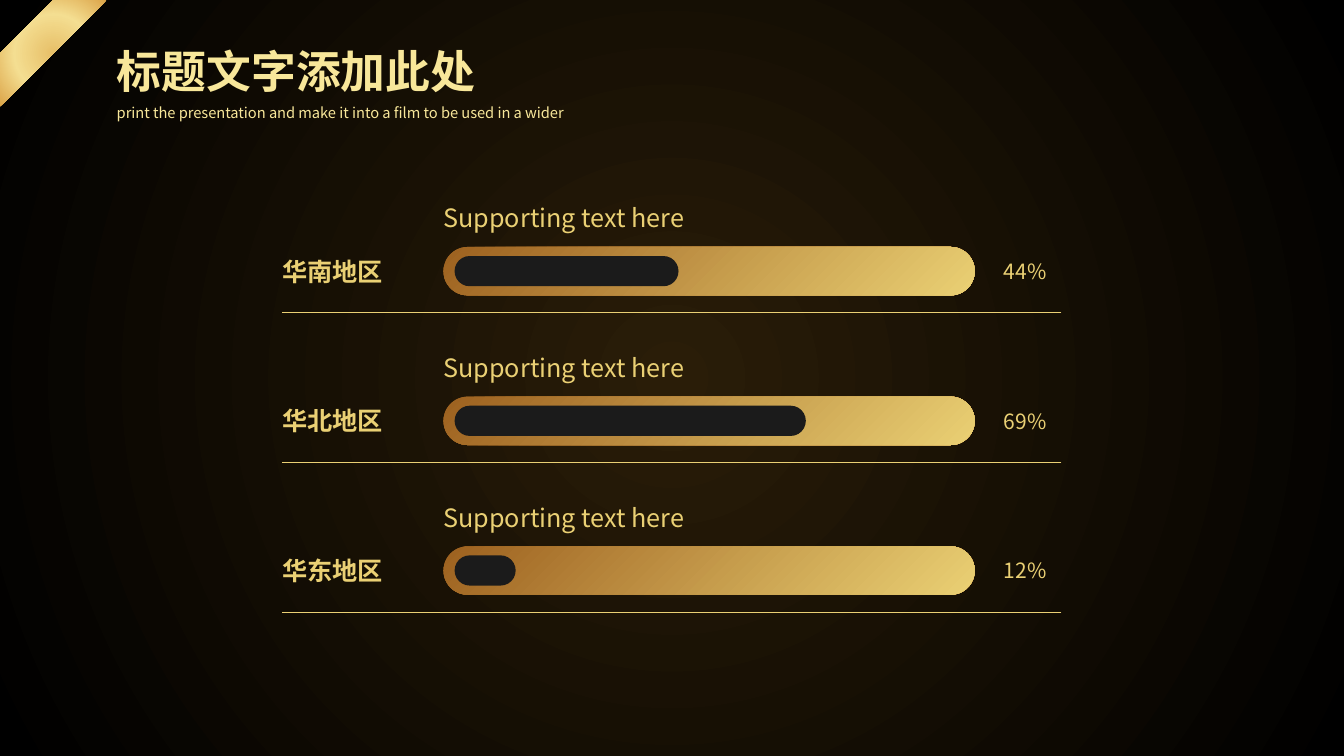
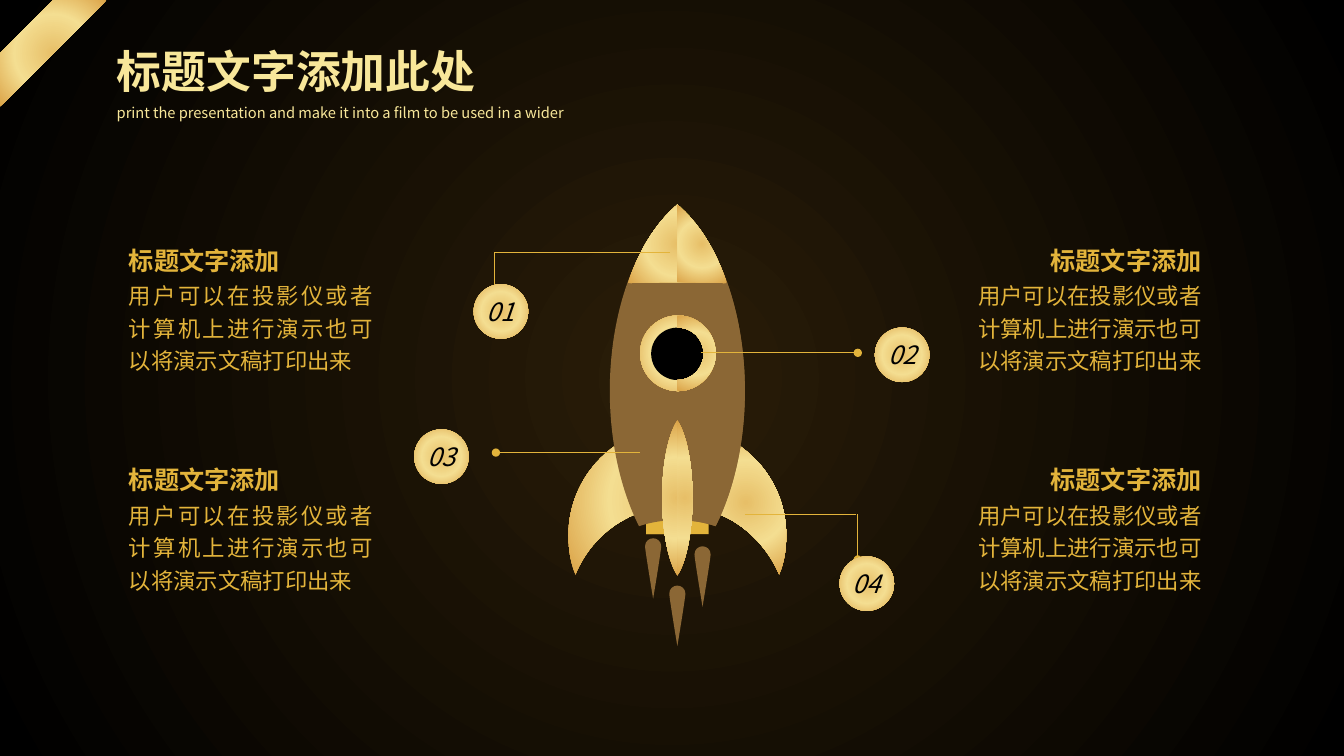
from lxml import etree
from pptx import Presentation
from pptx.dml.color import RGBColor
from pptx.enum import shapes as sh, text as tx
from pptx.oxml import ns
from pptx.util import Inches, Pt

FONT = "Noto Sans CJK SC"
CREAM = RGBColor(0xF8, 0xE7, 0x9A)
GOLD = RGBColor(0xEA, 0xD0, 0x74)
AMBER = RGBColor(0xE3, 0xB4, 0x3B)
BROWN = RGBColor(0x8B, 0x67, 0x35)
RUST = RGBColor(0x9D, 0x61, 0x1F)
COAL = RGBColor(0x1B, 0x1B, 0x1B)
BLACK = RGBColor(0, 0, 0)
NIGHT = [(0, RGBColor(0x2A, 0x1D, 0x08)), (100, BLACK)]
METAL = [(0, RGBColor(0xE7, 0xBF, 0x68)), (52, RGBColor(0xF4, 0xDE, 0x91)),
         (100, RGBColor(0xDB, 0xA3, 0x47))]
LEFT, RIGHT = tx.PP_ALIGN.LEFT, tx.PP_ALIGN.RIGHT
CENTER, JUST = tx.PP_ALIGN.CENTER, tx.PP_ALIGN.JUSTIFY
TOP, MID = tx.MSO_ANCHOR.TOP, tx.MSO_ANCHOR.MIDDLE
KIND = sh.MSO_SHAPE


def shade(fill, node, stops, angle=None):
    """Gradient fill: linear with an angle, otherwise circular."""
    fill.gradient()
    grad = node.xpath(".//a:gradFill")[0]
    for child in list(grad):
        grad.remove(child)
    steps = etree.SubElement(grad, ns.qn("a:gsLst"))
    for pos, color in stops:
        stop = etree.SubElement(steps, ns.qn("a:gs"), pos=str(pos * 1000))
        etree.SubElement(stop, ns.qn("a:srgbClr"), val=str(color))
    if angle is not None:
        etree.SubElement(grad, ns.qn("a:lin"), ang=str(angle * 60000), scaled="0")
    else:
        way = etree.SubElement(grad, ns.qn("a:path"), path="circle")
        etree.SubElement(way, ns.qn("a:fillToRect"),
                         {side: "50000" for side in "ltrb"})


def write(shape, words, size, color, bold=False, italic=False, align=LEFT,
          anchor=TOP, pad=True, space=None, wrap=True):
    """Put one styled paragraph into a shape or text box."""
    frame = shape.text_frame
    frame.word_wrap = wrap
    frame.vertical_anchor = anchor
    if not pad:
        frame.margin_left = frame.margin_right = 0
        frame.margin_top = frame.margin_bottom = 0
    para = frame.paragraphs[0]
    para.text = words
    para.alignment = align
    if space:
        para.line_spacing = space
    font = para.font
    font.size, font.bold, font.italic = Pt(size), bold, italic
    font.color.rgb = color
    font.name = FONT
    props = para._p.xpath(".//a:defRPr")[0]
    etree.SubElement(props, ns.qn("a:ea"), typeface=FONT)


deck = Presentation()
deck.slide_width, deck.slide_height = Inches(40 / 3), Inches(7.5)

# Shared background, corner ribbon and title
for _ in range(2):
    slide = deck.slides.add_slide(deck.slide_layouts[6])
    shade(slide.background.fill, slide._element, NIGHT)
    band = slide.shapes.add_shape(KIND.DIAGONAL_STRIPE, 0, 0, Inches(1.06), Inches(1.06))
    shade(band.fill, band._element, METAL)
    box = slide.shapes.add_textbox(Inches(1.06), Inches(0.38), Inches(4.18), Inches(0.64))
    write(box, "标题文字添加此处", 32, CREAM, bold=True)
    box = slide.shapes.add_textbox(Inches(1.06), Inches(0.95), Inches(5.2), Inches(0.3))
    write(box, "print the presentation and make it into a film to be used in a wider",
          10.5, CREAM, space=1.2)
bars, ship = deck.slides

# Lines: slide, start, end, colour, width, end with a dot
links = [
    (ship, 6.95, 3.5, 8.51, 3.5, AMBER, 0.5, True),
    (ship, 7.39, 5.1, 8.49, 5.1, AMBER, 0.5, False),
    (ship, 8.51, 5.1, 8.51, 5.55, AMBER, 0.5, True),
    (ship, 6.35, 4.49, 4.92, 4.49, AMBER, 0.5, True),
    (ship, 6.65, 2.5, 4.9, 2.5, AMBER, 0.5, False),
    (ship, 4.9, 2.5, 4.9, 2.96, AMBER, 0.5, True),
]

# Progress bars by region
for row, (area, share) in enumerate([("华南地区", 44), ("华北地区", 69), ("华东地区", 12)]):
    top = 2.01 + 2.97 * row / 2
    for left, drop, width, high, words, size, bold, anchor, pad in [
            (2.8, 0.53, 1.28, 0.3, area, 18, True, MID, False),
            (9.86, 0.44, 0.64, 0.48, f"{share}%", 15, False, MID, True),
            (4.4, 0, 5.27, 0.35, "Supporting text here", 18, False, TOP, False)]:
        box = bars.shapes.add_textbox(Inches(left), Inches(top + drop),
                                      Inches(width), Inches(high))
        write(box, words, size, GOLD, bold=bold, anchor=anchor, pad=pad)
    track = bars.shapes.add_shape(KIND.ROUNDED_RECTANGLE, Inches(4.4), Inches(top + 0.44),
                                  Inches(5.27), Inches(0.48))
    shade(track.fill, track._element, [(0, RUST), (100, GOLD)], 45)
    level = bars.shapes.add_shape(KIND.ROUNDED_RECTANGLE, Inches(4.51), Inches(top + 0.53),
                                  Inches(5.05 * share / 100), Inches(0.3))
    level.fill.solid()
    level.fill.fore_color.rgb = COAL
    track.adjustments[0] = level.adjustments[0] = 0.5
    links.append((bars, 10.53, top + 1.09, 2.8, top + 1.09, GOLD, 0.25, False))

# Rocket nozzle and window
for kind, left, top, width, high, color in [
        (KIND.RECTANGLE, 6.41, 5.09, 0.62, 0.21, AMBER),
        (KIND.RECTANGLE, 6.41, 5.09, 0.31, 0.21, AMBER),
        (KIND.OVAL, 6.35, 3.13, 0.75, 0.75, None),
        (KIND.OVAL, 6.46, 3.25, 0.52, 0.52, BLACK)]:
    part = ship.shapes.add_shape(kind, Inches(left), Inches(top), Inches(width), Inches(high))
    if color is None:
        shade(part.fill, part._element, METAL)
        ring = part
    else:
        part.fill.solid()
        part.fill.fore_color.rgb = color
pane = part

# Rocket outlines: right-hand Bezier points from the axis, and whether the
# whole (mirrored) outline and its right half are drawn
AXIS = 6.72
flame = [(0, 0), (0.04, 0), (0.08, 0.03), (0.08, 0.08), (0.08, 0.12), (0, 0.6), (0, 0.6)]
outlines = [([(mid + x, top + y) for x, y in flame], mid, BROWN, True, False)
            for mid, top in [(6.48, 5.34), (6.72, 5.81), (6.97, 5.42)]]
outlines += [
    # fins
    ([(6.72, 4.23), (7.32, 4.23), (7.8, 4.72), (7.8, 5.31), (7.8, 5.45), (7.78, 5.58),
      (7.73, 5.7), (7.57, 5.3), (7.18, 5.02), (6.72, 5.02)], AXIS, None, True, False),
    ([(7, 4.27), (7.46, 4.39), (7.8, 4.81), (7.8, 5.31), (7.8, 5.45), (7.78, 5.58),
      (7.73, 5.7), (7.6, 5.39), (7.33, 5.14), (7, 5.05)], AXIS, None, False, True),
    # hull
    ([(6.72, 2.03), (7.12, 2.37), (7.39, 3.07), (7.39, 3.88), (7.39, 4.39), (7.28, 4.86),
      (7.1, 5.22), (6.98, 5.18), (6.86, 5.16), (6.72, 5.16)], AXIS, BROWN, True, True),
    # nose
    ([(6.72, 2.03), (6.93, 2.21), (7.1, 2.48), (7.21, 2.81), (7.05, 2.8), (6.89, 2.8),
      (6.72, 2.8)], AXIS, None, True, True),
    # middle fin
    ([(6.72, 4.17), (6.81, 4.31), (6.87, 4.6), (6.87, 4.94), (6.87, 5.27), (6.81, 5.57),
      (6.72, 5.71)], AXIS, None, True, True),
    # right half of the window ring
    ([(6.72, 3.13), (6.93, 3.13), (7.1, 3.3), (7.1, 3.51), (7.1, 3.71), (6.93, 3.88),
      (6.72, 3.88), (6.72, 3.88), (6.72, 3.77), (6.72, 3.77), (6.87, 3.77), (6.98, 3.65),
      (6.98, 3.51), (6.98, 3.36), (6.87, 3.25), (6.72, 3.25)], AXIS, None, False, True),
]
for side, mid, color, whole, half in outlines:
    mirror = [(2 * mid - x, y) for x, y in reversed(side[:-1])]
    for knots in [side + mirror] * whole + [side] * half:
        pts = [(Inches(x), Inches(y)) for x, y in knots]
        pen = ship.shapes.build_freeform(*pts[0])
        pen.add_line_segments(pts[1:], close=True)
        part = pen.convert_to_shape()
        # Every three straight steps become one Bezier curve
        steps = part._element.xpath(".//a:lnTo")
        for i in range(0, len(steps), 3):
            curve = etree.Element(ns.qn("a:cubicBezTo"))
            steps[i].addprevious(curve)
            for step in steps[i:i + 3]:
                curve.append(step[0])
                step.getparent().remove(step)
        if color is None:
            shade(part.fill, part._element, METAL)
        else:
            part.fill.solid()
            part.fill.fore_color.rgb = color

# Window goes above the hull, its half ring stays on top
for item in (ring, pane):
    part._element.addprevious(item._element)

# Connectors
for slide, x1, y1, x2, y2, color, width, dot in links:
    link = slide.shapes.add_connector(sh.MSO_CONNECTOR.STRAIGHT, Inches(x1), Inches(y1),
                                      Inches(x2), Inches(y2))
    link.line.color.rgb = color
    link.line.width = Pt(width)
    if dot:
        etree.SubElement(link.line._get_or_add_ln(), ns.qn("a:tailEnd"), type="oval")
    etree.SubElement(link._element.spPr, ns.qn("a:effectLst"))

# Numbered badges
for num, left, top in [("02", 8.68, 3.25), ("04", 8.33, 5.52),
                       ("01", 4.7, 2.82), ("03", 4.11, 4.26)]:
    badge = ship.shapes.add_shape(KIND.OVAL, Inches(left), Inches(top),
                                  Inches(0.54), Inches(0.54))
    shade(badge.fill, badge._element, METAL)
    write(badge, num, 18, BLACK, italic=True, align=CENTER, anchor=MID,
          pad=False, wrap=False)

# Captions on both sides
for left, head, align in [(1.18, 1.18, JUST), (9.4, 9.57, RIGHT)]:
    for top in (2.32, 4.5):
        box = ship.shapes.add_textbox(Inches(left), Inches(top + 0.38),
                                      Inches(2.62), Inches(1.07))
        write(box, "用户可以在投影仪或者计算机上进行演示也可以将演示文稿打印出来",
              16, AMBER, align=align, space=1.2)
        box = ship.shapes.add_textbox(Inches(head), Inches(top), Inches(2.45), Inches(0.43))
        write(box, "标题文字添加", 18, AMBER, bold=True, align=align, space=1.2)

# No outline or shadow on filled shapes
flat = (sh.MSO_SHAPE_TYPE.AUTO_SHAPE, sh.MSO_SHAPE_TYPE.FREEFORM)
for slide in deck.slides:
    for shape in slide.shapes:
        if shape.shape_type in flat:
            shape.line.fill.background()
            shape.shadow.inherit = False

deck.save("out.pptx")
